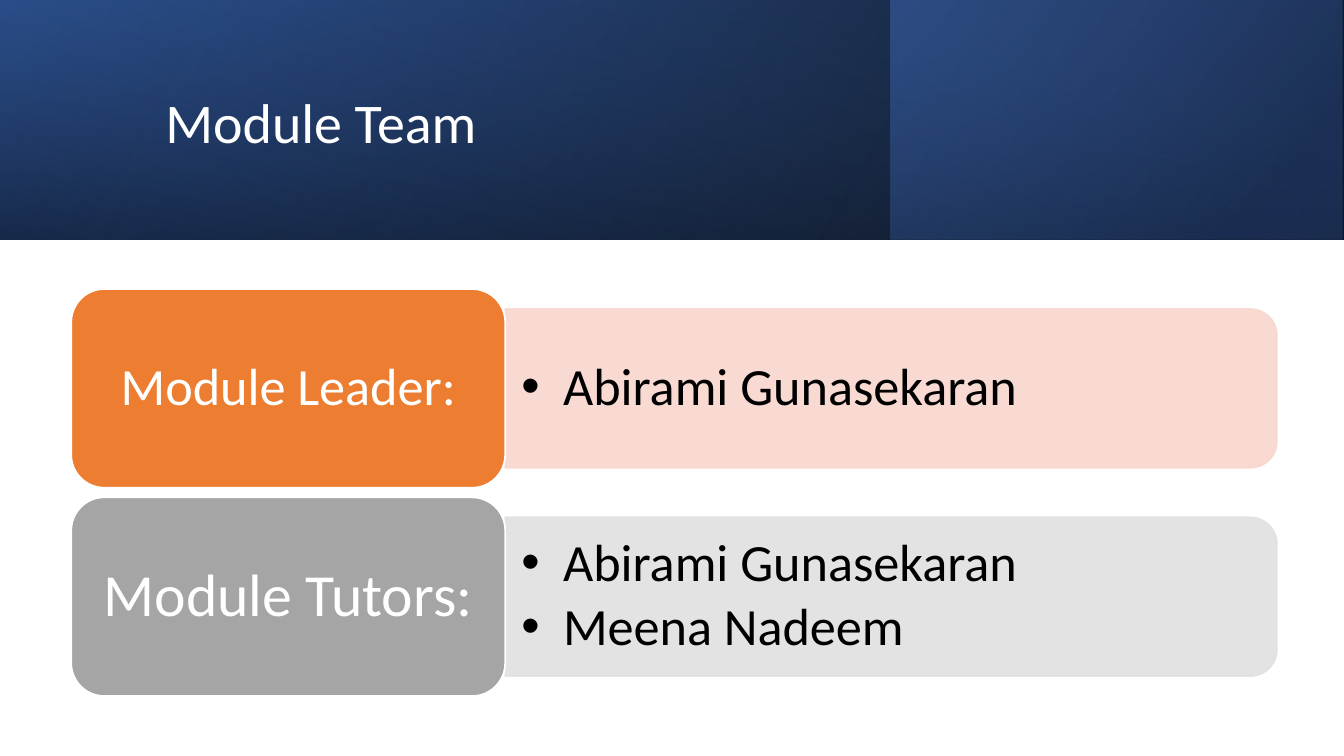
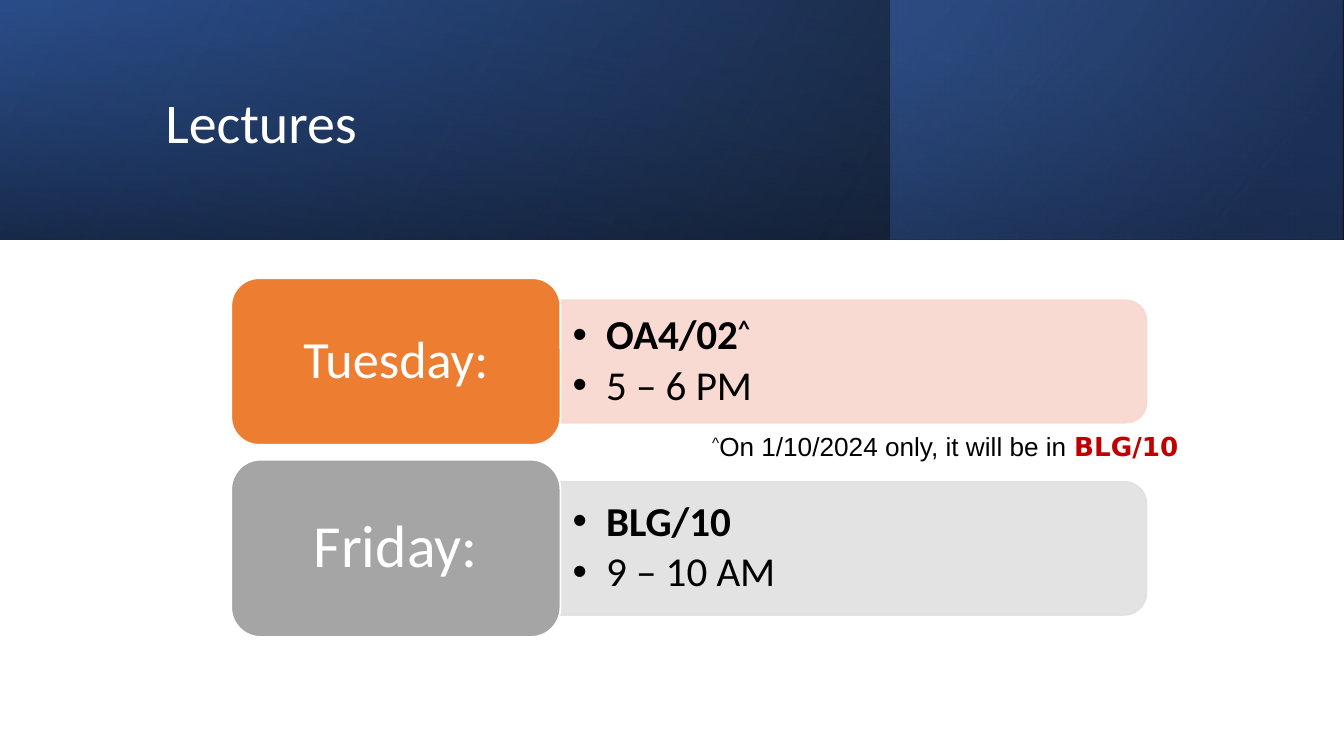
"""Builds two slides that introduce a module team and its lecture times."""
from lxml.etree import SubElement
from pptx import Presentation
from pptx.dml.color import RGBColor
from pptx.enum.shapes import MSO_SHAPE as SHAPE
from pptx.enum.text import MSO_ANCHOR as ANCHOR, MSO_AUTO_SIZE as AUTO, PP_ALIGN as ALIGN
from pptx.oxml.ns import qn
from pptx.util import Pt

PX = 9144
WIDTH, BAND_H = 1000, 178
HEIGHT = WIDTH * 9 / 16

WHITE = RGBColor(0xFF, 0xFF, 0xFF)
BLACK = RGBColor(0x00, 0x00, 0x00)
RED = RGBColor(0xC0, 0x00, 0x00)
ORANGE = RGBColor(0xED, 0x7D, 0x31)
GREY = RGBColor(0xA5, 0xA5, 0xA5)
PEACH = RGBColor(0xF8, 0xD7, 0xCE)
SILVER = RGBColor(0xE1, 0xE1, 0xE1)
NAVY = RGBColor(0x20, 0x38, 0x64)
BLUE = RGBColor(0x2F, 0x55, 0x97)
SKY = RGBColor(0x44, 0x72, 0xC4)

BANDS = [
    ((0, 0, WIDTH, BAND_H), 0, 330, [(0, BLACK, 96), (100, BLUE, 100)]),
    ((663, 0, 336, BAND_H), 0, 320, [(19, NAVY, 68), (100, SKY, 48)]),
    ((411, -411, BAND_H, WIDTH), 270, 350, [(23, BLUE, 16), (99, BLACK, 45)]),
]
ROW_STYLES = [
    dict(dark=ORANGE, light=PEACH, size=28, inset=(12, 6)),
    dict(dark=GREY, light=SILVER, size=32, inset=(13, 7)),
]
BOLD, RAISED = dict(bold=True), dict(raised=30)
SLIDES = [
    dict(title="Module Team", left=53, label_w=323, bar_w=574,
         size=28, hang=31, inset=(12, 6),
         rows=[("Module Leader:", 215, 148, 118, [[("Abirami Gunasekaran", {})]]),
               ("Module Tutors:", 370, 148, 118, [[("Abirami Gunasekaran", {})],
                                                  [("Meena Nadeem", {})]])]),
    dict(title="Lectures", left=172, label_w=245, bar_w=436,
         size=22, hang=25, inset=(9, 5),
         rows=[("Tuesday:", 207, 124, 91, [[("OA4/02", BOLD), ("^", BOLD | RAISED)],
                                           [("5 – 6 PM", {})]]),
               ("Friday:", 342, 132, 99, [[("BLG/10", BOLD)], [("9 – 10 AM", {})]])],
         note=[("^", RAISED), ("On 1/10/2024 only, it will be in ", {}),
               ("BLG/10", dict(bold=True, font="DejaVu Sans", color=RED))]),
]


def emu(box):
    return [round(v * PX) for v in box]


def add_alpha(color, percent):
    SubElement(color, qn("a:alpha"), val=str(percent * 1000))


def add_shape(sl, kind, box, fill=None, line=None, rotation=0, opacity=100):
    sp = sl.shapes.add_shape(kind, *emu(box))
    sp.shadow.inherit = False
    sp.rotation = rotation
    if fill is not None:
        sp.fill.solid()
        sp.fill.fore_color.rgb = fill
    if line is None:
        sp.line.fill.background()
    else:
        sp.line.color.rgb = line
        sp.line.width = Pt(1)
    if opacity < 100:
        for color in sp._element.spPr.iter(qn("a:srgbClr")):
            add_alpha(color, opacity)
    return sp


def add_band(sl, box, rotation, angle, stops):
    sp = add_shape(sl, SHAPE.RECTANGLE, box, rotation=rotation)
    sp._element.spPr.find(qn("a:xfrm")).set("flipH", "1")
    sp.fill.gradient()
    grad = sp._element.spPr.find(qn("a:gradFill"))
    for child in list(grad):
        grad.remove(child)
    gs_list = SubElement(grad, qn("a:gsLst"))
    for pos, rgb, opacity in stops:
        gs = SubElement(gs_list, qn("a:gs"), pos=str(pos * 1000))
        add_alpha(SubElement(gs, qn("a:srgbClr"), val=str(rgb)), opacity)
    SubElement(grad, qn("a:lin"), ang=str(angle * 60000), scaled="0")


def write_text(sp, paras, size, color, font="Calibri", align=ALIGN.LEFT, anchor=ANCHOR.MIDDLE,
               inset=(10, 5), spacing=0.9, after=0, hang=0, wrap=True, auto=AUTO.NONE):
    tf = sp.text_frame
    tf.word_wrap, tf.auto_size, tf.vertical_anchor = wrap, auto, anchor
    tf.margin_left = tf.margin_right = inset[0] * PX
    tf.margin_top = tf.margin_bottom = inset[1] * PX
    for i, runs in enumerate(paras):
        p = tf.add_paragraph() if i else tf.paragraphs[0]
        p.alignment, p.line_spacing = align, spacing
        pPr = p._p.get_or_add_pPr()
        if after:
            SubElement(SubElement(pPr, qn("a:spcAft")), qn("a:spcPct"), val=str(after * 1000))
        if hang:
            p.level = 1
            pPr.set("marL", str(hang * PX))
            pPr.set("indent", str(-hang * PX))
            SubElement(SubElement(pPr, qn("a:buClr")), qn("a:srgbClr"), val=str(color))
            SubElement(pPr, qn("a:buFont"), typeface="Arial")
            SubElement(pPr, qn("a:buChar"), char="•")
        for text, style in runs:
            r = p.add_run()
            r.text = text
            r.font.size = Pt(size)
            r.font.name = style.get("font", font)
            r.font.bold = style.get("bold", False)
            r.font.color.rgb = style.get("color", color)
            if "raised" in style:
                r.font._element.set("baseline", str(style["raised"] * 1000))


def add_text(sl, box, paras, **fmt):
    write_text(sl.shapes.add_textbox(*emu(box)), paras, **fmt)


def add_row(sl, page, row, style):
    label, top, label_h, bar_h, details = row
    left, label_w, bar_w = page["left"], page["label_w"], page["bar_w"]
    bar_left, middle = left + label_w, top + label_h / 2
    bar_box = (bar_left + (bar_w - bar_h) / 2, middle - bar_w / 2, bar_h, bar_w)
    add_shape(sl, SHAPE.ROUND_2_SAME_RECTANGLE, bar_box, style["light"], style["light"],
              rotation=90, opacity=90)
    text_h = bar_h - 10
    add_text(sl, (bar_left, middle - text_h / 2, bar_w - 6, text_h), details,
             size=page["size"], color=BLACK, inset=page["inset"], after=15, hang=page["hang"])
    add_shape(sl, SHAPE.ROUNDED_RECTANGLE, (left, top, label_w, label_h), style["dark"], WHITE)
    add_text(sl, (left + 7, top + 7, label_w - 14, label_h - 14), [[(label, {})]],
             size=style["size"], color=WHITE, align=ALIGN.CENTER, inset=style["inset"], after=35)


def add_page(prs, page):
    sl = prs.slides.add_slide(prs.slide_layouts[5])
    for band in BANDS:
        add_band(sl, *band)
    title = sl.shapes.title
    sl.shapes._spTree.append(title._element)
    title.left, title.top, title.width, title.height = emu((113, 29, 797, 129))
    write_text(title, [[(page["title"], {})]], size=30, color=WHITE)
    for row, style in zip(page["rows"], ROW_STYLES):
        add_row(sl, page, row, style)
    if "note" in page:
        add_text(sl, (520, 315, 378, 34), [page["note"]], size=14, color=BLACK, font="Arial",
                 anchor=ANCHOR.TOP, spacing=1.0, wrap=False, auto=AUTO.SHAPE_TO_FIT_TEXT)


def main():
    prs = Presentation()
    prs.slide_width, prs.slide_height = emu((WIDTH, HEIGHT))
    for page in SLIDES:
        add_page(prs, page)
    prs.save("out.pptx")


if __name__ == "__main__":
    main()
